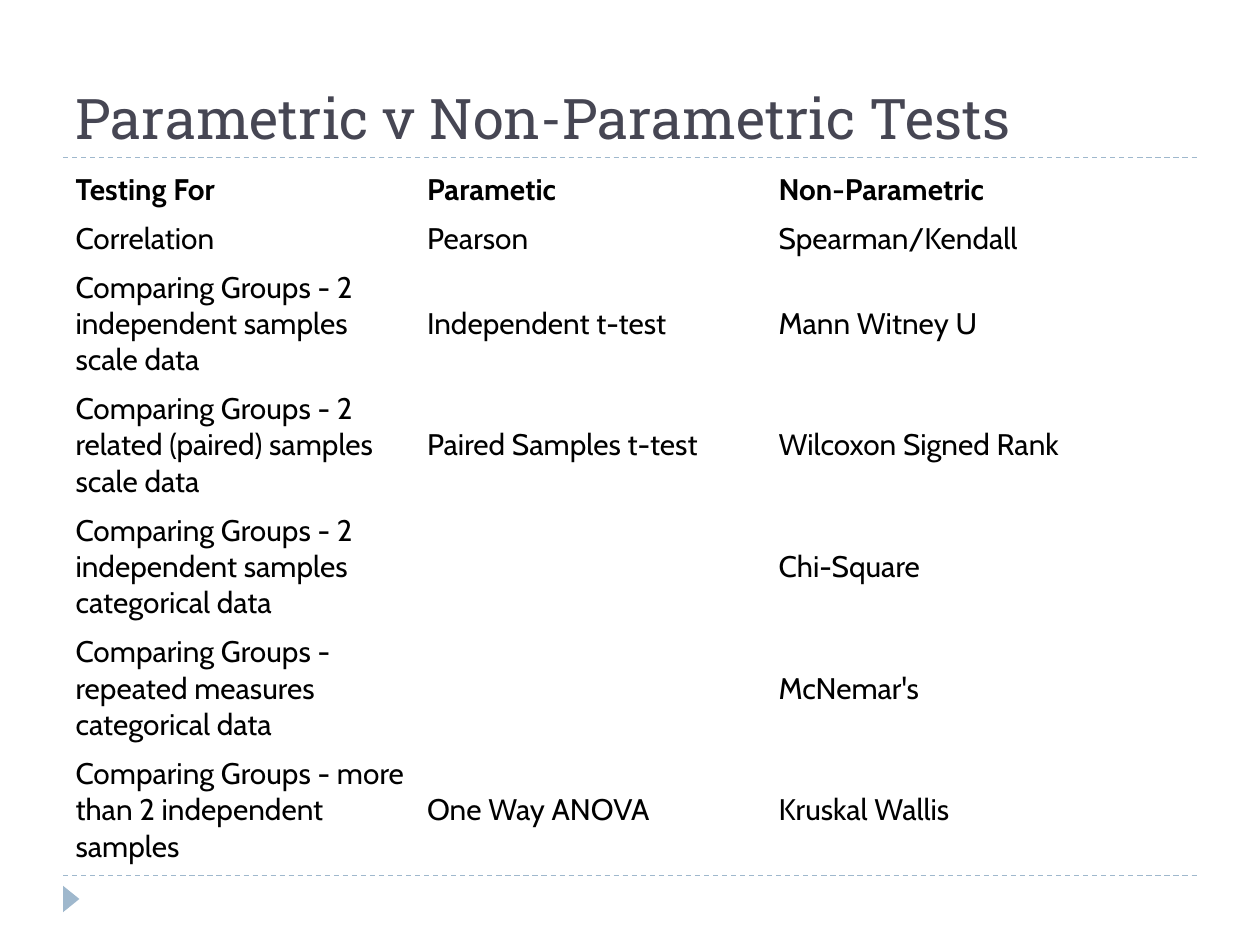
import pptx
import pptx.util
import pptx.dml.color
import pptx.enum.dml
import pptx.enum.shapes
import pptx.enum.text
import pptx.oxml.ns
import lxml.etree

Inches = pptx.util.Inches
Pt = pptx.util.Pt
Anchor = pptx.enum.text.MSO_ANCHOR

HUES = {"title": "464653", "text": "000000", "rule": "9FB8CD"}
HEAD = "Roboto Slab"
BODY = "Cabin"

ROWS = [
    ("Testing For", "Parametic", "Non-Parametric"),
    ("Correlation", "Pearson", "Spearman/Kendall"),
    ("Comparing Groups - 2 independent samples scale data",
     "Independent t-test", "Mann Witney U"),
    ("Comparing Groups - 2 related (paired) samples scale data",
     "Paired Samples t-test", "Wilcoxon Signed Rank"),
    ("Comparing Groups - 2 independent samples categorical data",
     "", "Chi-Square"),
    ("Comparing Groups - repeated measures categorical data",
     "", "McNemar's"),
    ("Comparing Groups - more than 2 independent samples",
     "One Way ANOVA", "Kruskal Wallis"),
]
WIDTHS = [2.79, 2.79, 3.75]
HEIGHTS = [0.37] * 2 + [0.93] * 5


class Deck:
    def __init__(self):
        self.file = pptx.Presentation()
        self.file.slide_width = Inches(10)
        self.file.slide_height = Inches(7.5)
        self.slide = self.file.slides.add_slide(self.file.slide_layouts[5])

    def hue(self, name):
        return pptx.dml.color.RGBColor.from_string(HUES[name])

    def run(self, para, text, face, size, hue, bold=False):
        run = para.add_run()
        run.text = text
        run.font.name = face
        run.font.size = Pt(size)
        run.font.bold = bold
        run.font.color.rgb = self.hue(hue)

    def title(self, text, left, top, width, height):
        box = self.slide.shapes.title
        box.left, box.top = Inches(left), Inches(top)
        box.width, box.height = Inches(width), Inches(height)
        frame = box.text_frame
        frame.word_wrap = True
        frame.vertical_anchor = Anchor.BOTTOM
        para = frame.paragraphs[0]
        para.alignment = pptx.enum.text.PP_ALIGN.LEFT
        self.run(para, text, HEAD, 32, "title")

    def rule(self, left, right, top):
        line = self.slide.shapes.add_connector(
            pptx.enum.shapes.MSO_CONNECTOR.STRAIGHT,
            Inches(left), Inches(top), Inches(right), Inches(top))
        line.line.color.rgb = self.hue("rule")
        line.line.width = Pt(0.75)
        line.line.dash_style = pptx.enum.dml.MSO_LINE.DASH
        props = line._element.spPr
        lxml.etree.SubElement(props, pptx.oxml.ns.qn("a:effectLst"))

    def arrow(self, left, top, width, height):
        shape = self.slide.shapes.add_shape(
            pptx.enum.shapes.MSO_SHAPE.ISOSCELES_TRIANGLE,
            Inches(left), Inches(top), Inches(width), Inches(height))
        shape.rotation = 90
        shape.shadow.inherit = False
        shape.fill.solid()
        shape.fill.fore_color.rgb = self.hue("rule")
        shape.line.fill.background()

    def cell(self, cell, text, bold):
        cell.fill.background()
        cell.vertical_anchor = Anchor.MIDDLE
        cell.margin_left = cell.margin_right = Inches(0.09)
        cell.margin_top = cell.margin_bottom = Inches(0.05)
        if text:
            para = cell.text_frame.paragraphs[0]
            self.run(para, text, BODY, 17, "text", bold)

    def table(self, rows, left, top, widths, heights):
        table = self.slide.shapes.add_table(
            len(rows), len(widths), Inches(left), Inches(top),
            Inches(sum(widths)), Inches(sum(heights))).table
        table.horz_banding = False
        for col, width in zip(table.columns, widths):
            col.width = Inches(width)
        for r, (row, height) in enumerate(zip(rows, heights)):
            table.rows[r].height = Inches(height)
            for c, text in enumerate(row):
                self.cell(table.cell(r, c), text, bold=r == 0)


def main():
    deck = Deck()
    for top in (6.95, 1.25):
        deck.rule(0.5, 9.5, top)
    deck.arrow(0.46, 7.07, 0.21, 0.13)
    deck.title("Parametric v Non-Parametric Tests", 0.5, 0.25, 9, 1)
    deck.table(ROWS, 0.51, 1.31, WIDTHS, HEIGHTS)
    deck.file.save("out.pptx")


if __name__ == "__main__":
    main()
